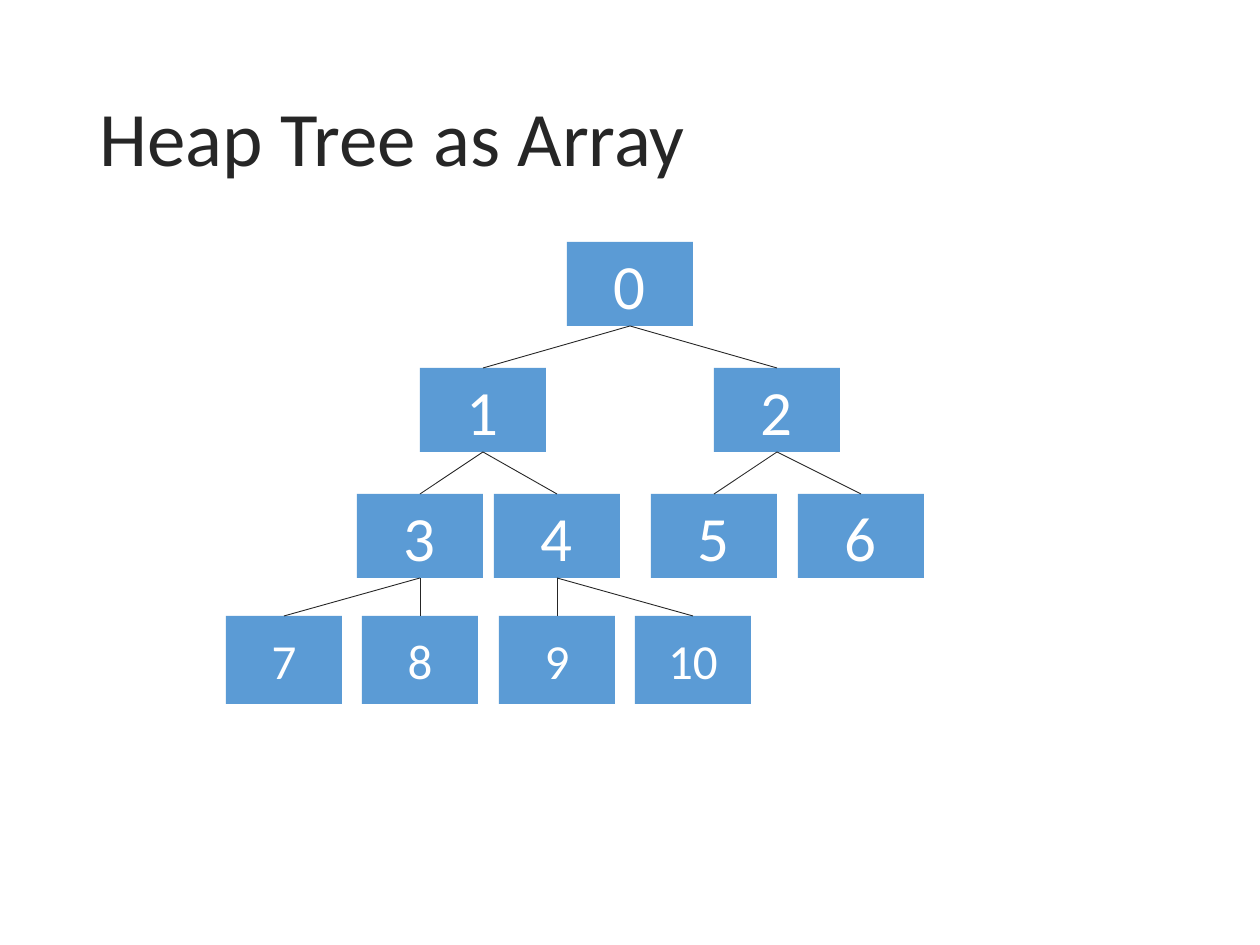
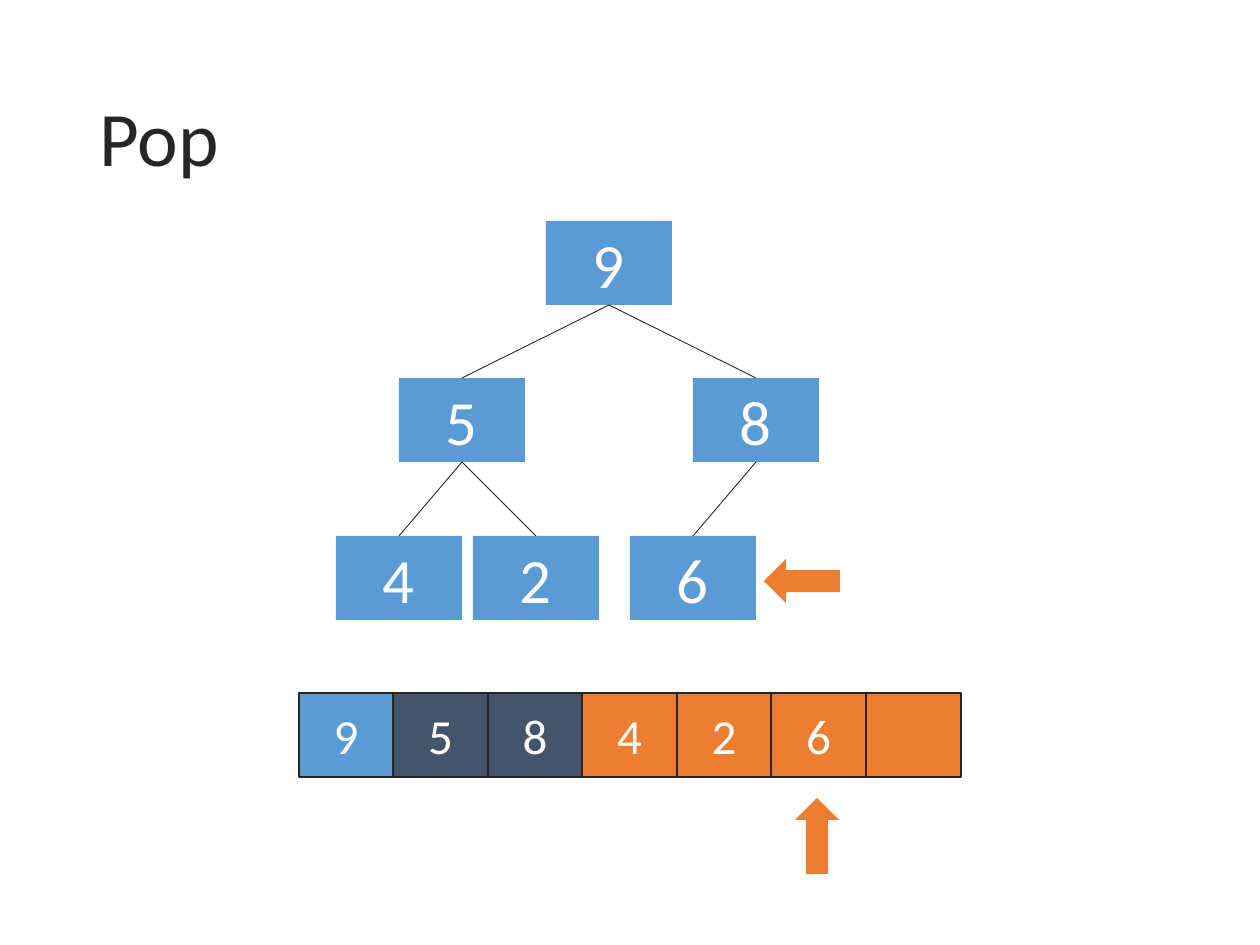
from dataclasses import dataclass

from lxml import etree
from pptx import Presentation
from pptx import util as u
from pptx.dml.color import RGBColor
from pptx.enum import shapes, text
from pptx.oxml import ns
from pptx.shapes.autoshape import Shape
from pptx.slide import Slide

# Shared look
PX_PER_INCH = 126
FONT = "Calibri"
INK = RGBColor(0x26, 0x26, 0x26)
WHITE = RGBColor(0xFF, 0xFF, 0xFF)
BLUE = RGBColor(0x5B, 0x9B, 0xD5)
NAVY = RGBColor(0x44, 0x54, 0x6A)
ORANGE = RGBColor(0xED, 0x7D, 0x31)
TITLE_ONLY = 5
TOP_SITE, BOTTOM_SITE = 0, 2


@dataclass(frozen=True)
class Box:
    left: int
    top: int
    width: int
    height: int


@dataclass(frozen=True)
class Level:
    """One row of tree nodes, placed by their centres."""
    top: int
    centers: tuple[int, ...]
    labels: tuple[str, ...]
    width: int = 126
    height: int = 84
    size: int = 36


@dataclass(frozen=True)
class Cell:
    label: str
    color: RGBColor


TITLE_BOX = Box(87, 50, 1086, 183)

INDEX_LEVELS = (
    Level(242, (630,), ("0",)),
    Level(368, (483, 777), ("1", "2")),
    Level(494, (420, 557, 714, 861), ("3", "4", "5", "6")),
    Level(616, (284, 420, 557, 693), ("7", "8", "9", "10"), 116, 88, 28),
)

POP_LEVELS = (
    Level(221, (609,), ("9",)),
    Level(378, (462, 756), ("5", "8")),
    Level(536, (399, 536, 693), ("4", "2", "6")),
)

ARRAY_BOX = Box(299, 693, 662, 84)
ARRAY_CELLS = (
    Cell("9", BLUE), Cell("5", NAVY), Cell("8", NAVY), Cell("4", ORANGE),
    Cell("2", ORANGE), Cell("6", ORANGE), Cell("", ORANGE),
)


def px(length: int) -> u.Emu:
    return u.Inches(length / PX_PER_INCH)


def place(box: Box) -> tuple[u.Emu, ...]:
    return px(box.left), px(box.top), px(box.width), px(box.height)


def add_titled_slide(presentation, title: str) -> Slide:
    slide = presentation.slides.add_slide(presentation.slide_layouts[TITLE_ONLY])
    shape = slide.shapes.title
    shape.left, shape.top, shape.width, shape.height = place(TITLE_BOX)
    frame = shape.text_frame
    frame.text = title
    frame.auto_size = text.MSO_AUTO_SIZE.NONE
    frame.vertical_anchor = text.MSO_ANCHOR.MIDDLE
    paragraph = frame.paragraphs[0]
    paragraph.alignment = text.PP_ALIGN.LEFT
    paragraph.line_spacing = 0.9
    paragraph.font.name = FONT
    paragraph.font.size = u.Pt(44)
    paragraph.font.color.rgb = INK
    return slide


def add_filled(slide: Slide, kind: shapes.MSO_SHAPE, box: Box, color: RGBColor) -> Shape:
    shape = slide.shapes.add_shape(kind, *place(box))
    shape.shadow.inherit = False
    shape.fill.solid()
    shape.fill.fore_color.rgb = color
    shape.line.fill.background()
    return shape


def add_label_box(slide: Slide, box: Box, color: RGBColor, label: str, size: int) -> Shape:
    shape = add_filled(slide, shapes.MSO_SHAPE.RECTANGLE, box, color)
    if label:
        frame = shape.text_frame
        frame.text = label
        frame.vertical_anchor = text.MSO_ANCHOR.MIDDLE
        paragraph = frame.paragraphs[0]
        paragraph.alignment = text.PP_ALIGN.CENTER
        paragraph.font.name = FONT
        paragraph.font.size = u.Pt(size)
        paragraph.font.color.rgb = WHITE
    return shape


def add_branch(slide: Slide, child: Shape, parent: Shape) -> None:
    line = slide.shapes.add_connector(shapes.MSO_CONNECTOR.STRAIGHT, 0, 0, 0, 0)
    line.begin_connect(child, TOP_SITE)
    line.end_connect(parent, BOTTOM_SITE)
    line.line.color.rgb = INK
    line.line.width = u.Pt(0.5)
    etree.SubElement(line._element.spPr, ns.qn("a:effectLst"))


def add_heap(slide: Slide, levels: tuple[Level, ...]) -> None:
    """Draw nodes in heap order; node i hangs from node (i - 1) // 2."""
    nodes: list[Shape] = []
    for level in levels:
        for center, label in zip(level.centers, level.labels):
            box = Box(center - level.width // 2, level.top, level.width, level.height)
            nodes.append(add_label_box(slide, box, BLUE, label, level.size))
    for index, node in enumerate(nodes[1:], start=1):
        add_branch(slide, node, nodes[(index - 1) // 2])


def add_array(slide: Slide) -> None:
    count = len(ARRAY_CELLS)
    edges = [ARRAY_BOX.left + ARRAY_BOX.width * i // count for i in range(count + 1)]
    for left, right, cell in zip(edges, edges[1:], ARRAY_CELLS):
        box = Box(left, ARRAY_BOX.top, right - left, ARRAY_BOX.height)
        shape = add_label_box(slide, box, cell.color, cell.label, 28)
        shape.line.color.rgb = INK
        shape.line.width = u.Pt(1)


def add_pointer(slide: Slide, left: int, top: int, rotation: int = 0) -> None:
    arrow = add_filled(slide, shapes.MSO_SHAPE.UP_ARROW, Box(left, top, 44, 76), ORANGE)
    arrow.rotation = rotation


def main() -> None:
    presentation = Presentation()
    presentation.slide_width, presentation.slide_height = px(1260), px(945)

    # Heap indices
    slide = add_titled_slide(presentation, "Heap Tree as Array")
    add_heap(slide, INDEX_LEVELS)

    # Pop: tree, its array, and the last element marked in both
    slide = add_titled_slide(presentation, "Pop")
    add_heap(slide, POP_LEVELS)
    add_array(slide)
    add_pointer(slide, 795, 798)
    add_pointer(slide, 780, 543, rotation=270)

    presentation.save("out.pptx")


if __name__ == "__main__":
    main()
